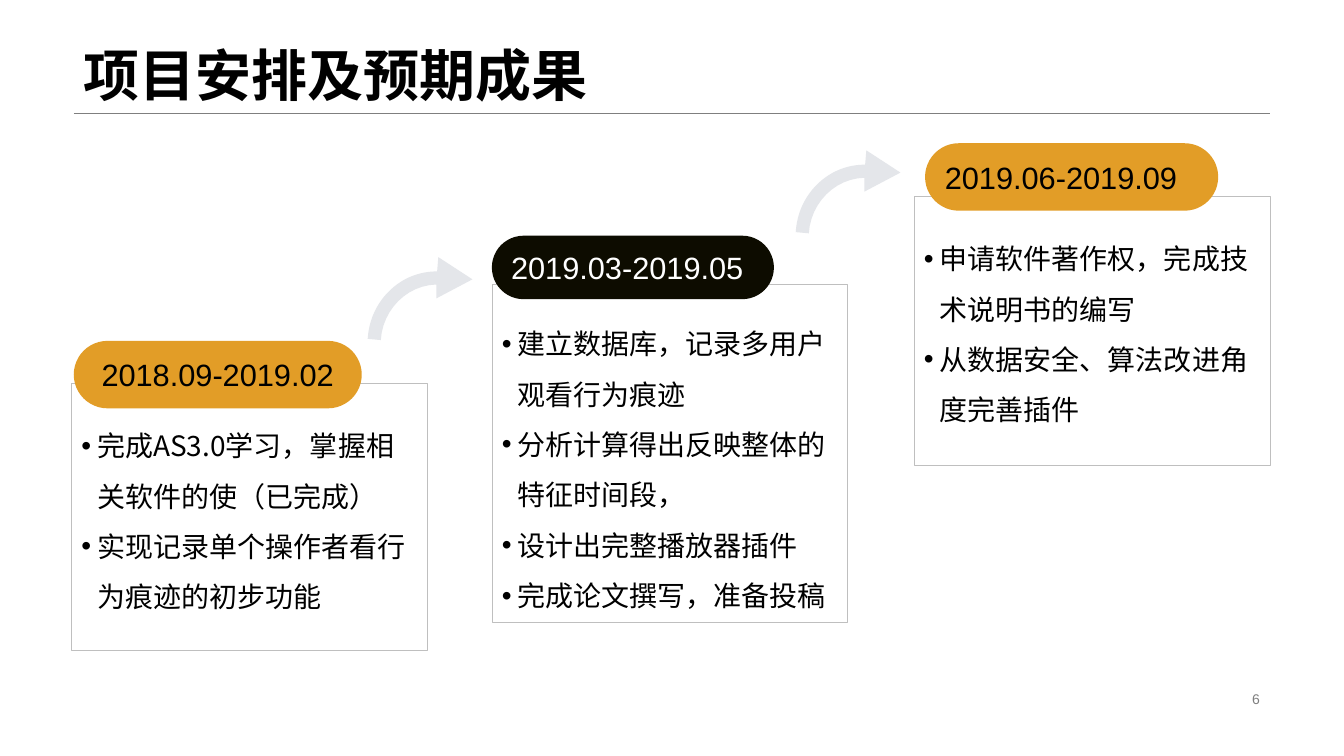
from lxml.etree import SubElement
from pptx import Presentation
from pptx.dml.color import RGBColor
from pptx.enum.shapes import MSO_CONNECTOR, MSO_SHAPE
from pptx.enum.text import MSO_ANCHOR, PP_ALIGN
from pptx.oxml.ns import qn
from pptx.util import Cm, Pt

COLORS = {
    "black": "000000", "white": "FFFFFF", "dark": "0D0C00", "gold": "E29D27",
    "arrow": "E4E6EA", "frame": "BFBFBF", "gray": "7F7F7F",
}
HAN = "Noto Sans CJK SC"

# Stages: frame box, top inset, pill box, pill fill, pill ink, alignment, dates, tasks
STAGES = [
    ((1.8, 9.66, 8.97, 6.73), 0.72, (1.86, 8.59, 7.26, 1.7), "gold", "black",
     PP_ALIGN.CENTER, "2018.09-2019.02",
     ["完成AS3.0学习，掌握相关软件的使（已完成）",
      "实现记录单个操作者看行为痕迹的初步功能"]),
    ((12.4, 7.16, 8.97, 8.51), 0.65, (12.4, 5.94, 7.11, 1.6), "dark", "white",
     PP_ALIGN.LEFT, "2019.03-2019.05",
     ["建立数据库，记录多用户观看行为痕迹",
      "分析计算得出反映整体的特征时间段，",
      "设计出完整播放器插件",
      "完成论文撰写，准备投稿"]),
    ((23.04, 4.95, 8.97, 6.78), 0.72, (23.32, 3.61, 7.39, 1.7), "gold", "black",
     PP_ALIGN.LEFT, "2019.06-2019.09",
     ["申请软件著作权，完成技术说明书的编写",
      "从数据安全、算法改进角度完善插件"]),
]

# Arrow outline in cm from its lower left corner: straight head and Bezier edges
HEAD = [(2.64, -1.5), (2.21, -1.78), (2.18, -1.42)]
OUTER = [[(1.75, -1.42), (1.35, -1.27), (1.02, -0.97)],
         [(0.66, -0.64), (0.46, -0.2), (0.43, 0.28)]]
INNER = [(0.76, 0.31), [(0.81, -0.46), (1.42, -1.07), (2.16, -1.09)]]
BARB = [(2.16, -0.74), (3.07, -1.22)]
ARROWS = [(8.84, 8.26), (19.63, 5.57)]


def color(name):
    return RGBColor.from_string(COLORS[name])


def style(para, size, ink, font="Arial", bold=False):
    for run in para.runs:
        run.font.size = Pt(size)
        run.font.bold = bold
        run.font.name = font
        run.font.color.rgb = color(ink)
        SubElement(run.font._element, qn("a:ea"), typeface=HAN)


def add_box(slide, kind, box, fill=None, line=None):
    shape = slide.shapes.add_shape(kind, *map(Cm, box))
    shape.shadow.inherit = False
    if fill:
        shape.fill.solid()
        shape.fill.fore_color.rgb = color(fill)
    else:
        shape.fill.background()
    if line:
        shape.line.color.rgb = color(line)
        shape.line.width = Pt(0.25)
    else:
        shape.line.fill.background()
    shape.text_frame.word_wrap = True
    return shape


def add_bullet(para):
    props = para._p.get_or_add_pPr()
    props.set("marL", str(Cm(0.4)))
    props.set("indent", str(-Cm(0.4)))
    tint = SubElement(props, qn("a:buClr"))
    SubElement(tint, qn("a:srgbClr"), val=COLORS["black"])
    SubElement(props, qn("a:buFont"), typeface="Arial")
    SubElement(props, qn("a:buChar"), char="•")


def add_tasks(slide, box, inset, tasks):
    frame = add_box(slide, MSO_SHAPE.RECTANGLE, box, line="frame").text_frame
    frame.vertical_anchor = MSO_ANCHOR.TOP
    frame.margin_top = Cm(inset)
    frame.text = "\n".join(tasks)
    for para in frame.paragraphs:
        add_bullet(para)
        para.alignment = PP_ALIGN.LEFT
        para.line_spacing = 1.5
        style(para, 20, "black", HAN)


def add_pill(slide, box, fill, ink, align, dates):
    pill = add_box(slide, MSO_SHAPE.ROUNDED_RECTANGLE, box, fill)
    pill.adjustments[0] = 0.5
    frame = pill.text_frame
    frame.vertical_anchor = MSO_ANCHOR.MIDDLE
    frame.text = dates
    frame.paragraphs[0].alignment = align
    style(frame.paragraphs[0], 22, ink)


def curve(start, ctrl, steps=12):
    nodes = [start, *ctrl]
    for step in range(1, steps + 1):
        t = step / steps
        parts = ((1 - t) ** 3, 3 * t * (1 - t) ** 2, 3 * t * t * (1 - t), t ** 3)
        yield tuple(sum(p * node[axis] for p, node in zip(parts, nodes))
                    for axis in (0, 1))


def add_arrow(slide, left, top):
    points = []
    for part in HEAD + OUTER + INNER + BARB:
        points += curve(points[-1], part) if isinstance(part, list) else [part]
    spots = [(Cm(left + x), Cm(top + y)) for x, y in points]
    pen = slide.shapes.build_freeform(*spots[0])
    pen.add_line_segments(spots[1:], close=True)
    arrow = pen.convert_to_shape()
    arrow.shadow.inherit = False
    arrow.fill.solid()
    arrow.fill.fore_color.rgb = color("arrow")
    arrow.line.fill.background()


def add_title(slide, text):
    title = slide.shapes.title
    title.left, title.top, title.width, title.height = map(Cm, (1.86, 0, 30.15, 2.87))
    frame = title.text_frame
    frame.vertical_anchor = MSO_ANCHOR.BOTTOM
    frame.text = text
    para = frame.paragraphs[0]
    para.alignment = PP_ALIGN.LEFT
    para.line_spacing = 0.9
    style(para, 40, "black", bold=True)


def add_rule(slide):
    rule = slide.shapes.add_connector(
        MSO_CONNECTOR.STRAIGHT, *map(Cm, (1.86, 2.86, 32.01, 2.86)))
    rule.line.color.rgb = color("gray")
    rule.line.width = Pt(0.25)
    SubElement(rule._element.spPr, qn("a:effectLst"))


def add_number(slide, text):
    box = slide.shapes.add_textbox(*map(Cm, (23.93, 17.32, 8.08, 0.58)))
    frame = box.text_frame
    frame.word_wrap = True
    frame.vertical_anchor = MSO_ANCHOR.MIDDLE
    frame.text = text
    frame.paragraphs[0].alignment = PP_ALIGN.RIGHT
    style(frame.paragraphs[0], 10, "gray")


def main():
    deck = Presentation()
    deck.slide_width, deck.slide_height = Cm(33.88), Cm(19.05)
    slide = deck.slides.add_slide(deck.slide_layouts[5])

    # Heading and page number
    add_rule(slide)
    add_title(slide, "项目安排及预期成果")
    add_number(slide, "6")

    # Stages with their dates
    for box, inset, pill, fill, ink, align, dates, tasks in STAGES:
        add_tasks(slide, box, inset, tasks)
        add_pill(slide, pill, fill, ink, align, dates)

    # Arrows between stages
    for left, top in ARROWS:
        add_arrow(slide, left, top)

    deck.save("out.pptx")


if __name__ == "__main__":
    main()
